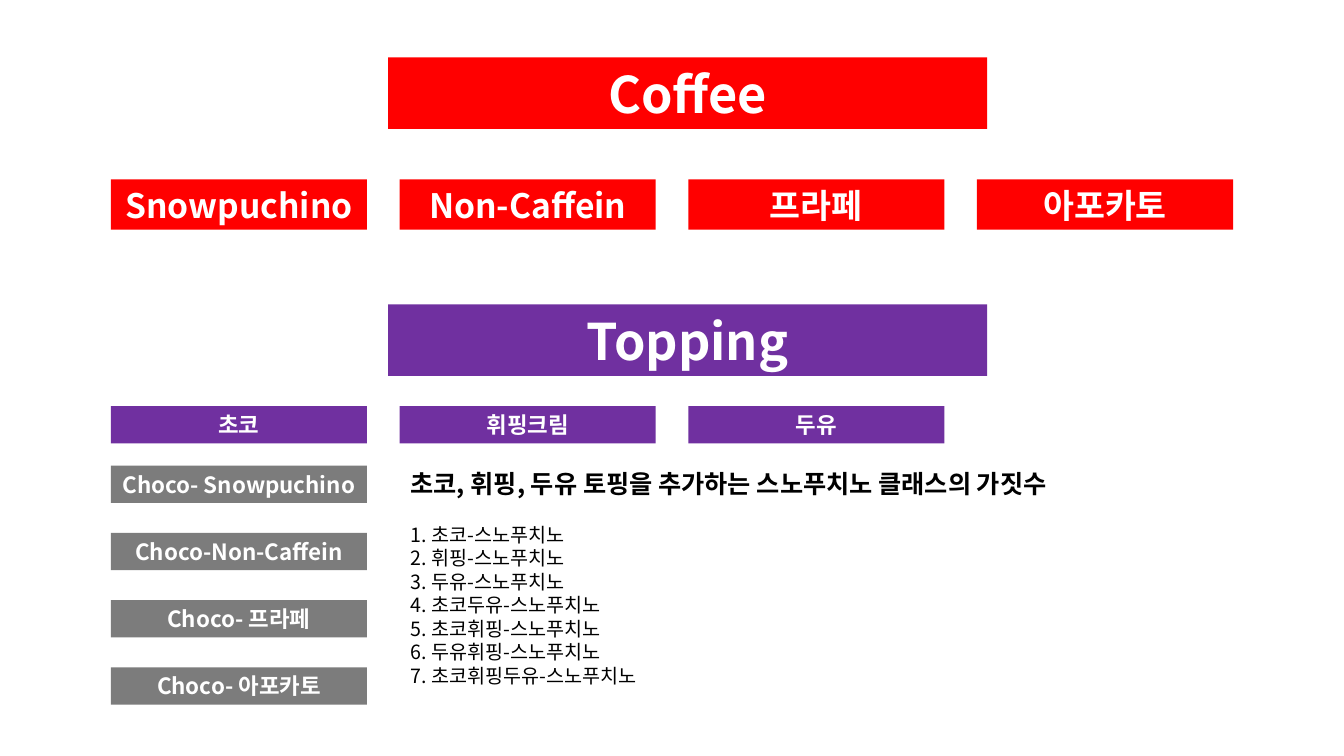
import pptx
import pptx.util
import pptx.dml.color
import pptx.enum.shapes
import pptx.enum.text
import pptx.oxml.ns
from lxml import etree

Inches = pptx.util.Inches
Pt = pptx.util.Pt
RGB = pptx.dml.color.RGBColor
ALIGN = pptx.enum.text.PP_ALIGN
ANCHOR = pptx.enum.text.MSO_ANCHOR

RED = RGB(0xFF, 0x00, 0x00)
PURPLE = RGB(0x70, 0x30, 0xA0)
GRAY = RGB(0x7C, 0x7C, 0x7C)
WHITE = RGB(0xFF, 0xFF, 0xFF)
BLACK = RGB(0x00, 0x00, 0x00)
FONT = "Noto Sans CJK KR"

# Grid in inches
LEFT, WIDE, STEP = 1.1, 2.54, (9.69 - 1.1) / 3
TOP, PITCH = 4.62, 2 / 3

DRINKS = ["Snowpuchino", "Non-Caffein", "프라페", "아포카토"]
EXTRAS = ["초코", "휘핑크림", "두유"]
MIXES = ["Choco- Snowpuchino", "Choco-Non-Caffein", "Choco- 프라페", "Choco- 아포카토"]
HEAD = "초코, 휘핑, 두유 토핑을 추가하는 스노푸치노 클래스의 가짓수"
KINDS = ["초코", "휘핑", "두유", "초코두유", "초코휘핑", "두유휘핑", "초코휘핑두유"]


def write(para, text, size=16, color=WHITE, bold=True, align=ALIGN.CENTER, before=0):
    para.alignment = align
    para.space_before = Pt(before)
    run = para.add_run()
    run.text = text
    font = run.font
    font.name, font.size, font.bold = FONT, Pt(size), bold
    font.color.rgb = color
    # East Asian typeface for Hangul
    east = etree.SubElement(font._element, pptx.oxml.ns.qn("a:ea"))
    east.set("typeface", FONT)


class Deck:
    def __init__(self):
        self.prs = pptx.Presentation()
        self.prs.slide_width = Inches(13.33)
        self.prs.slide_height = Inches(7.5)
        self.slide = self.prs.slides.add_slide(self.prs.slide_layouts[1])

    def place(self, shape, x, y, w, h):
        shape.left, shape.top = Inches(x), Inches(y)
        shape.width, shape.height = Inches(w), Inches(h)
        frame = shape.text_frame
        frame.word_wrap = True
        frame.auto_size = pptx.enum.text.MSO_AUTO_SIZE.NONE
        return frame

    def title(self, text, x, y, w, h, fill, size):
        shape = self.slide.shapes.title
        shape.fill.solid()
        shape.fill.fore_color.rgb = fill
        frame = self.place(shape, x, y, w, h)
        frame.vertical_anchor = ANCHOR.MIDDLE
        write(frame.paragraphs[0], text, size=size)

    def bar(self, text, x, y, w, h, fill, size=16):
        rect = pptx.enum.shapes.MSO_SHAPE.RECTANGLE
        shape = self.slide.shapes.add_shape(rect, Inches(x), Inches(y), Inches(w), Inches(h))
        shape.shadow.inherit = False
        shape.fill.solid()
        shape.fill.fore_color.rgb = fill
        shape.line.fill.background()
        frame = self.place(shape, x, y, w, h)
        frame.vertical_anchor = ANCHOR.MIDDLE
        write(frame.paragraphs[0], text, size=size)

    def row(self, texts, y, h, fill, size=16):
        for i, text in enumerate(texts):
            self.bar(text, LEFT + i * STEP, y, WIDE, h, fill, size)

    def body(self, head, items, x, y, w, h):
        frame = self.place(self.slide.placeholders[1], x, y, w, h)
        frame.vertical_anchor = ANCHOR.TOP
        write(frame.paragraphs[0], head, size=18, color=BLACK, align=ALIGN.LEFT)
        for i, item in enumerate(items, 1):
            write(frame.add_paragraph(), f"{i}. {item}-스노푸치노", size=14, color=BLACK,
                  bold=False, align=ALIGN.LEFT, before=16.8 if i == 1 else 0)
        # Plain paragraphs: no bullet, no indent
        for para in frame.paragraphs:
            props = para._p.get_or_add_pPr()
            props.set("marL", "0")
            props.set("indent", "0")
            etree.SubElement(props, pptx.oxml.ns.qn("a:buNone"))


def main():
    deck = Deck()

    # Coffee
    deck.title("Coffee", 3.85, 0.57, 5.94, 0.71, RED, 36)
    deck.row(DRINKS, 1.78, 0.5, RED, 24)

    # Toppings
    deck.bar("Topping", 3.85, 3.02, 5.94, 0.71, PURPLE, 36)
    deck.row(EXTRAS, 4.03, 0.37, PURPLE)

    # Chocolate drinks
    for i, mix in enumerate(MIXES):
        deck.bar(mix, LEFT, TOP + i * PITCH, WIDE, 0.37, GRAY)

    # Class list
    deck.body(HEAD, KINDS, 3.97, 4.6, 7.73, 2.29)

    deck.prs.save("out.pptx")


if __name__ == "__main__":
    main()
